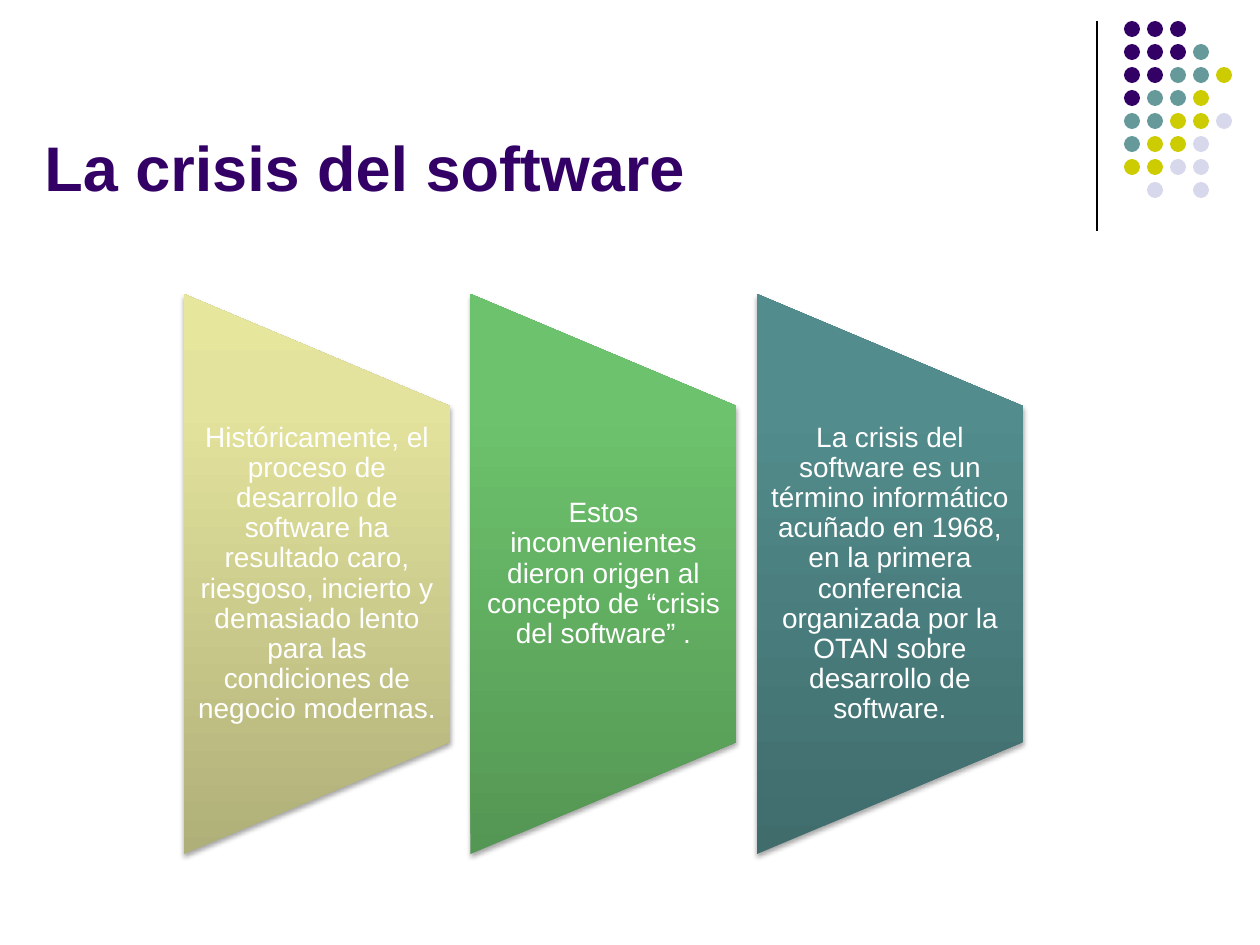
from pptx import Presentation
from pptx.dml.color import RGBColor
from pptx.enum.shapes import MSO_CONNECTOR, MSO_SHAPE
from pptx.enum.text import MSO_ANCHOR, PP_ALIGN
from pptx.oxml import parse_xml
from pptx.oxml.ns import nsdecls
from pptx.util import Pt

LINE = MSO_CONNECTOR.STRAIGHT
DOT = MSO_SHAPE.OVAL
TRAPEZOID = MSO_SHAPE.FLOWCHART_MANUAL_OPERATION
CENTER = PP_ALIGN.CENTER
MIDDLE, BOTTOM = MSO_ANCHOR.MIDDLE, MSO_ANCHOR.BOTTOM

THEME = {
    "font": "Arial",
    "title": {"size": Pt(36), "bold": True, "color": "330066"},
    "body": {"size": Pt(16), "bold": False, "color": "FFFFFF"},
    "rule": "000000",
    "dots": {"P": "330066", "T": "669999", "Y": "CCCC00", "L": "D8D8EC"},
}


def px(n):
    """Turn pixels (126 to the inch) into EMU."""
    return round(n * 914400 / 126)


def add_text(slide, text, box, style, anchor, margins=None, **paragraph):
    tf = slide.shapes.add_textbox(*map(px, box)).text_frame
    for name, value in {"word_wrap": True, "vertical_anchor": anchor, **(margins or {})}.items():
        setattr(tf, name, value)
    p = tf.paragraphs[0]
    for name, value in paragraph.items():
        setattr(p, name, value)
    r = p.add_run()
    r.text = text
    for name, value in {"name": THEME["font"], "size": style["size"], "bold": style["bold"]}.items():
        setattr(r.font, name, value)
    r.font.color.rgb = RGBColor.from_string(style["color"])


prs = Presentation()
prs.slide_width, prs.slide_height = px(1260), px(945)
s = prs.slides.add_slide(prs.slide_layouts[6])

# Corner ornament: a vertical rule and a grid of dots
rule = s.shapes.add_connector(LINE, px(1097), px(21), px(1097), px(231))
rule.line.color.rgb = RGBColor.from_string(THEME["rule"])
rule.line.width = Pt(0.75)
rule._element.spPr.append(parse_xml(f"<a:effectLst {nsdecls('a')}/>"))

DOT_ROWS = ["PPP", "PPPT", "PPTTY", "PTTY", "TTYYL", "TYYL", "YYLL", " L L"]
DOT_LEFT, DOT_TOP, DOT_SIZE, DOT_PITCH = 1124, 21, 16, 23
for row, codes in enumerate(DOT_ROWS):
    for col, code in enumerate(codes):
        if code == " ":
            continue
        sp = s.shapes.add_shape(DOT, px(DOT_LEFT + col * DOT_PITCH), px(DOT_TOP + row * DOT_PITCH),
                                px(DOT_SIZE), px(DOT_SIZE))
        sp.shadow.inherit = False
        sp.fill.solid()
        sp.fill.fore_color.rgb = RGBColor.from_string(THEME["dots"][code])
        sp.line.fill.background()

add_text(s, "La crisis del software", (32, 32, 1061, 178), THEME["title"], BOTTOM)

# Three trapezoids on their side, each with its text box
PANELS = [
    ("Históricamente, el proceso de desarrollo de software ha resultado caro, riesgoso, "
     "incierto y demasiado lento para las condiciones de negocio modernas.",
     ("AFAF79", "E3E39D", "E6E69C")),
    ("Estos inconvenientes dieron origen al concepto de “crisis del software” .",
     ("549654", "6DC36D", "6CC56C")),
    ("La crisis del software es un término informático acuñado en 1968, en la primera "
     "conferencia organizada por la OTAN sobre desarrollo de software.",
     ("406C6C", "528C8C", "528E8E")),
]
STOPS = (0, 80, 100)
LEFT, TOP, WIDTH, HEIGHT, PITCH = 184, 294, 266, 560, 286.5
TURN = (HEIGHT - WIDTH) // 2  # shift between the upright and the turned frame
TEXT_TOP, TEXT_HEIGHT = 406, 336
MARGINS = {"margin_left": px(14), "margin_right": px(14), "margin_top": 0, "margin_bottom": 0}

for i, (text, colors) in enumerate(PANELS):
    x = LEFT + i * PITCH
    sp = s.shapes.add_shape(TRAPEZOID, px(x - TURN), px(TOP + TURN), px(HEIGHT), px(WIDTH))
    sp.rotation = 270
    sp.shadow.inherit = False
    sp.line.fill.background()
    sp.fill.gradient()
    spPr = sp._element.spPr
    stops = "".join(f'<a:gs pos="{pos * 1000}"><a:srgbClr val="{color}"/></a:gs>'
                    for pos, color in zip(STOPS, colors))
    spPr.replace(spPr.find("{*}gradFill"), parse_xml(
        f'<a:gradFill {nsdecls("a")} rotWithShape="0"><a:gsLst>{stops}</a:gsLst>'
        '<a:lin ang="16200000" scaled="0"/></a:gradFill>'))
    spPr.find("{*}effectLst").append(parse_xml(
        f'<a:outerShdw {nsdecls("a")} blurRad="{Pt(3.1)}" dist="{Pt(1.8)}" dir="5400000" '
        'rotWithShape="0"><a:srgbClr val="000000"><a:alpha val="35000"/></a:srgbClr></a:outerShdw>'))
    add_text(s, text, (x, TEXT_TOP, WIDTH, TEXT_HEIGHT), THEME["body"], MIDDLE, MARGINS,
             alignment=CENTER, line_spacing=0.9)

prs.save("out.pptx")
